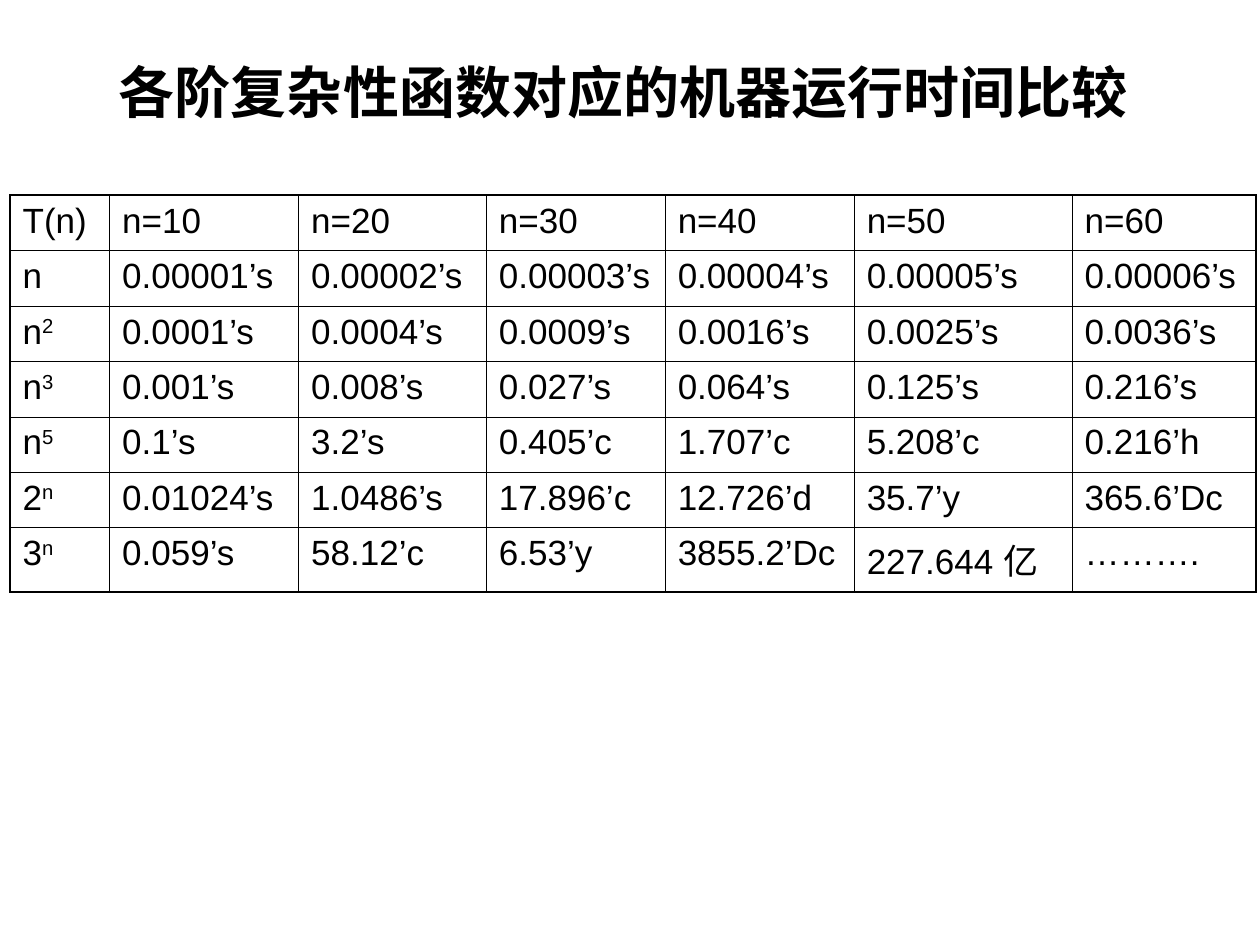
from lxml.etree import SubElement
from pptx import Presentation
from pptx.dml.color import RGBColor
from pptx.enum.text import MSO_ANCHOR as Anchor, PP_ALIGN as Align
from pptx.oxml.ns import qn
from pptx.util import Inches, Pt

COLORS = {"ink": "000000", "paper": "FFFFFF"}
FONT = "Arial"
OUTER_LINE, INNER_LINE = Pt(1.08), Pt(0.45)
COLUMN_WIDTHS = [0.79, 1.5, 1.49, 1.42, 1.5, 1.73, 1.46]
ROW_HEIGHTS = [0.44] * 6 + [0.51]
RUNNING_TIMES = [
    ["T(n)"] + [f"n={size}" for size in range(10, 70, 10)],
    ["n"] + [f"0.0000{digit}’s" for digit in range(1, 7)],
    ["n^2", "0.0001’s", "0.0004’s", "0.0009’s", "0.0016’s", "0.0025’s", "0.0036’s"],
    ["n^3", "0.001’s", "0.008’s", "0.027’s", "0.064’s", "0.125’s", "0.216’s"],
    ["n^5", "0.1’s", "3.2’s", "0.405’c", "1.707’c", "5.208’c", "0.216’h"],
    ["2^n", "0.01024’s", "1.0486’s", "17.896’c", "12.726’d", "35.7’y", "365.6’Dc"],
    ["3^n", "0.059’s", "58.12’c", "6.53’y", "3855.2’Dc", "227.644 亿", "……….",],
]


def write_text(frame, text, size=20, bold=False, align=Align.LEFT, space_before=0):
    paragraph = frame.paragraphs[0]
    paragraph.alignment = align
    paragraph.space_before = Pt(space_before)
    base, _, exponent = text.partition("^")
    for part in filter(None, (base, exponent)):
        run = paragraph.add_run()
        run.text = part
        run.font.name = FONT
        run.font.size = Pt(size)
        run.font.bold = bold
        run.font.color.rgb = RGBColor.from_string(COLORS["ink"])
    if exponent:
        run.font._element.set("baseline", "30000")


def set_borders(cell, widths):
    properties = cell._tc.get_or_add_tcPr()
    for side, width in widths.items():
        line = SubElement(properties, qn(f"a:ln{side}"), w=str(int(width)))
        fill = SubElement(line, qn("a:solidFill"))
        SubElement(fill, qn("a:srgbClr"), val=COLORS["ink"])


def add_title(slide, left, top, width, height):
    shape = slide.shapes.add_textbox(left, top, width, height)
    frame = shape.text_frame
    frame.word_wrap = True
    frame.vertical_anchor = Anchor.MIDDLE
    write_text(frame, "各阶复杂性函数对应的机器运行时间比较 ", size=32, bold=True,
               align=Align.CENTER)


def add_running_times(slide, left, top, width, height):
    row_count, column_count = len(ROW_HEIGHTS), len(COLUMN_WIDTHS)
    table = slide.shapes.add_table(row_count, column_count, left, top, width, height).table
    table.first_row = table.horz_banding = False
    for column, column_width in zip(table.columns, COLUMN_WIDTHS):
        column.width = Inches(column_width)
    for row, row_height in zip(table.rows, ROW_HEIGHTS):
        row.height = Inches(row_height)
    for i, values in enumerate(RUNNING_TIMES):
        for j, value in enumerate(values):
            cell = table.cell(i, j)
            write_text(cell.text_frame, value, space_before=5)
            on_edge = {"L": j == 0, "R": j == column_count - 1,
                       "T": i == 0, "B": i == row_count - 1}
            set_borders(cell, {side: OUTER_LINE if edge else INNER_LINE
                               for side, edge in on_edge.items()})
            cell.fill.background()


def main():
    presentation = Presentation()
    presentation.slide_width, presentation.slide_height = Inches(10), Inches(7.5)
    slide = presentation.slides.add_slide(presentation.slide_layouts[6])
    slide.background.fill.solid()
    slide.background.fill.fore_color.rgb = RGBColor.from_string(COLORS["paper"])
    add_title(slide, Inches(0.75), Inches(0.36), Inches(8.5), Inches(0.72))
    add_running_times(slide, Inches(0.08), Inches(1.55), Inches(9.88), Inches(3.15))
    presentation.save("out.pptx")


if __name__ == "__main__":
    main()
